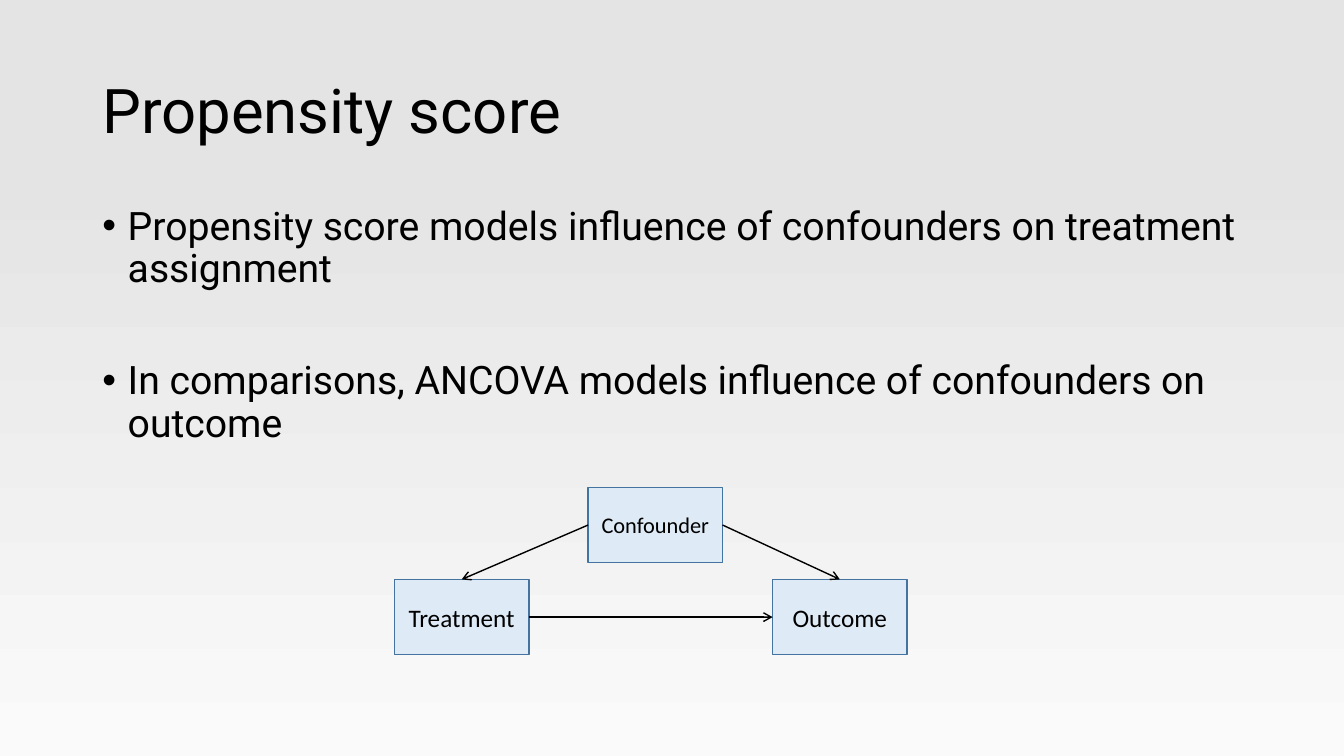
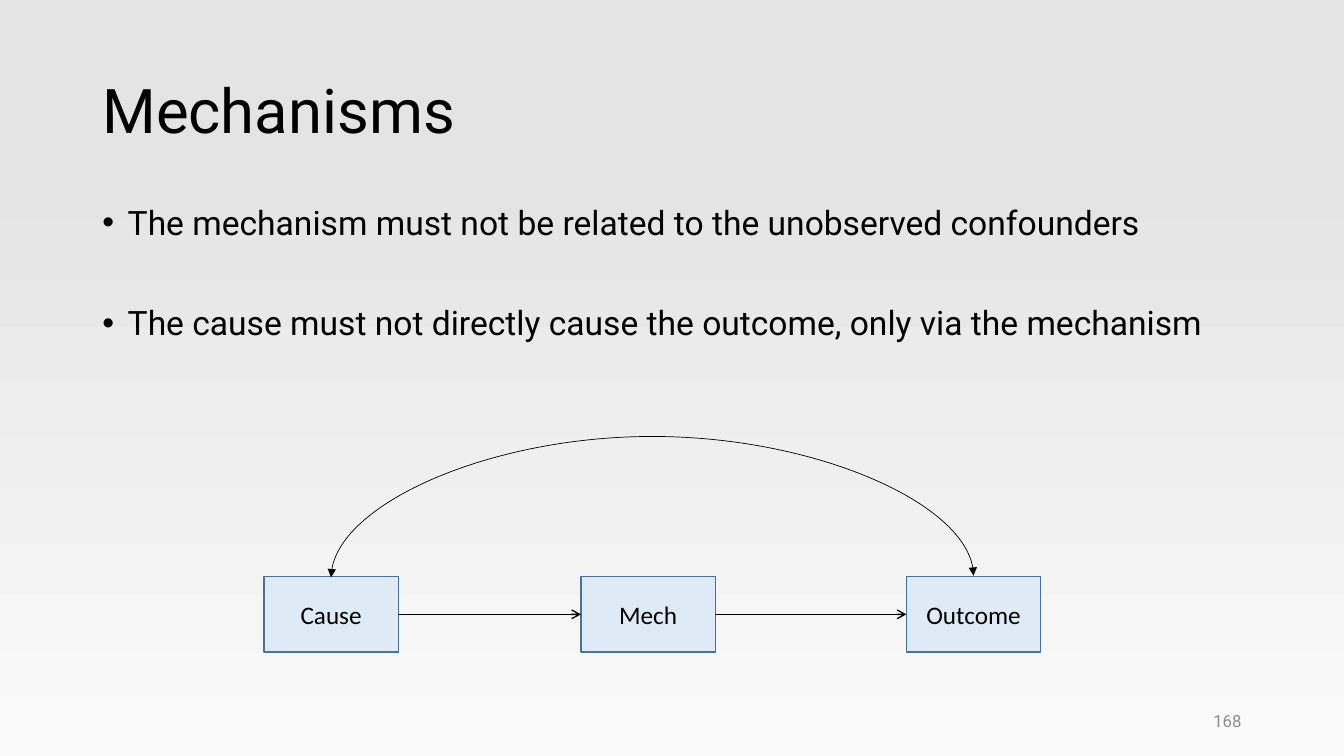
import pptx
import pptx.dml.color
import pptx.enum.shapes
import pptx.enum.text
import pptx.oxml.ns
import pptx.util
from lxml import etree

Cm = pptx.util.Cm
Pt = pptx.util.Pt
qn = pptx.oxml.ns.qn
ALIGN = pptx.enum.text.PP_ALIGN
ANCHOR = pptx.enum.text.MSO_ANCHOR
CONNECTOR = pptx.enum.shapes.MSO_CONNECTOR

COLORS = {
    "text": "000000",
    "number": "8C8C8C",
    "box_fill": "DEEBF7",
    "box_line": "43739E",
    "background_bottom": "FAFAFA",
    "background_top": "E4E4E4",
}
TEXT_FONT = "Roboto"
BOX_FONT = "Calibri"

# Shared measures in cm
MARGIN, CONTENT_WIDTH = 2.33, 29.21
BOX_WIDTH, BOX_HEIGHT = 3.39, 1.9

# Connection sites of a rectangle
TOP, LEFT, RIGHT = 0, 1, 3


def color(name):
    return pptx.dml.color.RGBColor.from_string(COLORS[name])


def set_background(master):
    fill = master.background.fill
    fill.gradient()
    fill.gradient_angle = 90
    stops = zip(fill.gradient_stops, ("background_bottom", "background_top"), (0, 0.78))
    for stop, name, position in stops:
        stop.color.rgb = color(name)
        stop.position = position


def add_bullet(paragraph):
    properties = paragraph._p.get_or_add_pPr()
    properties.set("marL", str(Cm(0.64)))
    properties.set("indent", str(-Cm(0.64)))
    etree.SubElement(properties, qn("a:buFont"), typeface="Arial")
    etree.SubElement(properties, qn("a:buChar"), char="•")


def write_text(shape, *texts, size, font=TEXT_FONT, name="text", align=ALIGN.LEFT,
               anchor=ANCHOR.MIDDLE, line_spacing=1.0, gap=0, bullets=False):
    """Fill a shape with one paragraph per text; gap is the space between them."""
    frame = shape.text_frame
    frame.word_wrap = True
    frame.vertical_anchor = anchor
    for index, text in enumerate(texts):
        paragraph = frame.add_paragraph() if index else frame.paragraphs[0]
        paragraph.text = text
        paragraph.alignment = align
        paragraph.line_spacing = line_spacing
        paragraph.space_before = Pt(gap if index else 0)
        if bullets:
            add_bullet(paragraph)
        paragraph.font.size = Pt(size)
        paragraph.font.name = font
        paragraph.font.color.rgb = color(name)


def add_text(slide, left, top, width, height, *texts, **text_format):
    shape = slide.shapes.add_textbox(Cm(left), Cm(top), Cm(width), Cm(height))
    write_text(shape, *texts, **text_format)


def add_content_slide(presentation, title, bullets, size, gap):
    slide = presentation.slides.add_slide(presentation.slide_layouts[6])
    add_text(slide, MARGIN, 1.01, CONTENT_WIDTH, 3.68, title, size=44, line_spacing=0.9)
    add_text(slide, MARGIN, 5.07, CONTENT_WIDTH, 12.09, *bullets, size=size, gap=gap,
             anchor=ANCHOR.TOP, line_spacing=0.9, bullets=True)
    return slide


def add_box(slide, left, top, label, size=18):
    box = slide.shapes.add_shape(pptx.enum.shapes.MSO_SHAPE.RECTANGLE,
                                 Cm(left), Cm(top), Cm(BOX_WIDTH), Cm(BOX_HEIGHT))
    box.shadow.inherit = False
    box.fill.solid()
    box.fill.fore_color.rgb = color("box_fill")
    box.line.color.rgb = color("box_line")
    box.line.width = Pt(1)
    write_text(box, label, size=size, font=BOX_FONT, align=ALIGN.CENTER)
    return box


def join(slide, start, start_site, end, end_site, kind=CONNECTOR.STRAIGHT,
         width=1, head=None, tail="arrow"):
    connector = slide.shapes.add_connector(kind, 0, 0, 0, 0)
    connector.begin_connect(start, start_site)
    connector.end_connect(end, end_site)
    connector.line.color.rgb = color("text")
    connector.line.width = Pt(width)
    line = connector.line._get_or_add_ln()
    for tag, arrowhead in (("a:headEnd", head), ("a:tailEnd", tail)):
        if arrowhead:
            etree.SubElement(line, qn(tag), type=arrowhead)
    etree.SubElement(connector._element.spPr, qn("a:effectLst"))
    return connector


def add_arch(slide, start, end, rise):
    """Join the tops of two boxes by a two-headed curve that rises above them."""
    arch = join(slide, start, TOP, end, TOP, kind=CONNECTOR.CURVE,
                width=0.5, head="triangle", tail="triangle")
    # A thin connector turned by 90 degrees; its adjustment sets the rise
    thickness, span = Cm(0.04), end.left - start.left
    center = start.left + (start.width + span) // 2
    arch.left, arch.top = center - thickness // 2, start.top - span // 2
    arch.width, arch.height = thickness, span
    properties = arch._element.spPr
    transform = properties.find(qn("a:xfrm"))
    for key, value in (("rot", "5400000"), ("flipH", "1"), ("flipV", "1")):
        transform.set(key, value)
    geometry = properties.find(qn("a:prstGeom"))
    adjustments = geometry.find(qn("a:avLst"))
    if adjustments is None:
        adjustments = etree.SubElement(geometry, qn("a:avLst"))
    ratio = round(Cm(rise) / thickness * 100000)
    etree.SubElement(adjustments, qn("a:gd"), name="adj1", fmla=f"val {ratio}")


def build_propensity_slide(presentation):
    slide = add_content_slide(presentation, "Propensity score", (
        "Propensity score models influence of confounders on treatment assignment",
        "In comparisons, ANCOVA models influence of confounders on outcome",
    ), size=28, gap=50)

    # Confounding triangle
    treatment = add_box(slide, 9.94, 14.6, "Treatment")
    outcome = add_box(slide, 19.47, 14.6, "Outcome")
    confounder = add_box(slide, 14.82, 12.28, "Confounder", size=16)
    join(slide, treatment, RIGHT, outcome, LEFT)
    join(slide, confounder, LEFT, treatment, TOP)
    join(slide, confounder, RIGHT, outcome, TOP)


def build_mechanisms_slide(presentation):
    slide = add_content_slide(presentation, "Mechanisms", (
        "The mechanism must not be related to the unobserved confounders",
        "The cause must not directly cause the outcome, only via the mechanism",
    ), size=24, gap=46)

    # Causal chain
    cause, mechanism, outcome = [
        add_box(slide, left, 14.53, label)
        for left, label in ((6.65, "Cause"), (14.64, "Mech"), (22.84, "Outcome"))
    ]
    join(slide, cause, RIGHT, mechanism, LEFT)
    join(slide, mechanism, RIGHT, outcome, LEFT)
    add_arch(slide, cause, outcome, rise=3.55)

    # Slide number
    add_text(slide, 23.92, 17.65, 7.62, 1.01, "168", size=12, name="number",
             align=ALIGN.RIGHT)


def main():
    presentation = pptx.Presentation()
    presentation.slide_width = Cm(33.87)
    presentation.slide_height = Cm(19.05)
    set_background(presentation.slide_master)
    build_propensity_slide(presentation)
    build_mechanisms_slide(presentation)
    presentation.save("out.pptx")


if __name__ == "__main__":
    main()
